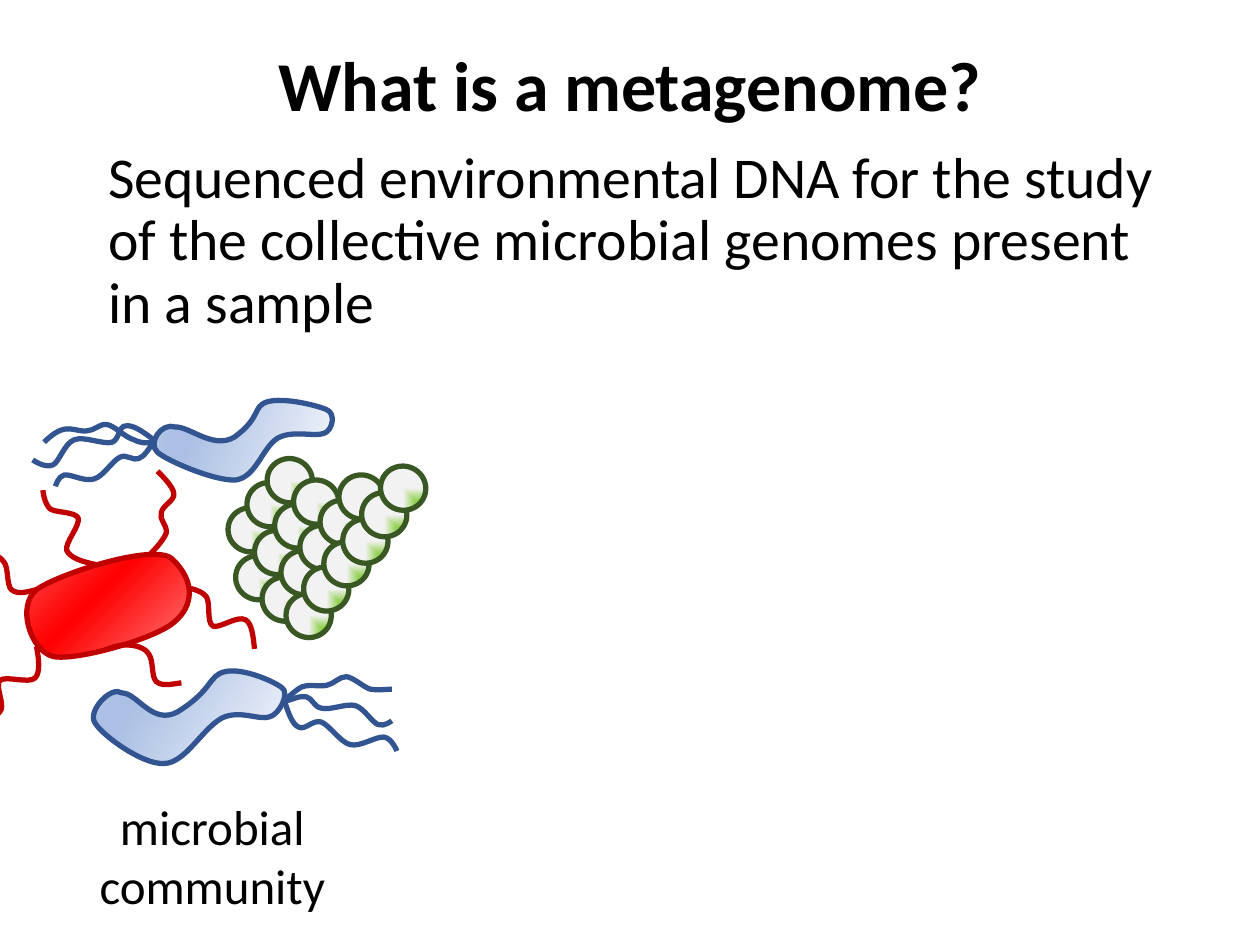
from lxml import etree
from pptx import Presentation
from pptx.dml.color import RGBColor
from pptx.enum.shapes import MSO_SHAPE
from pptx.enum.text import MSO_ANCHOR, PP_ALIGN
from pptx.oxml import parse_xml
from pptx.oxml.ns import nsdecls, qn
from pptx.util import Emu, Pt

OVAL = MSO_SHAPE.OVAL
MIDDLE, TOP = MSO_ANCHOR.MIDDLE, MSO_ANCHOR.TOP
LEFT, CENTER = PP_ALIGN.LEFT, PP_ALIGN.CENTER

EMU_PER_PX = 9144
FONT = "Calibri"
BLACK = RGBColor(0x00, 0x00, 0x00)
PALE = RGBColor(0xF6, 0xF8, 0xFC)
GREY = RGBColor(0xF2, 0xF2, 0xF2)
GREEN = RGBColor(0x92, 0xD0, 0x50)
DARK_GREEN = RGBColor(0x38, 0x57, 0x23)
BLUE = RGBColor(0xAB, 0xC0, 0xE4)
LIGHT_BLUE = RGBColor(0xC7, 0xD5, 0xED)
DARK_BLUE = RGBColor(0x32, 0x54, 0x91)
RED = RGBColor(0xFF, 0x00, 0x00)
LIGHT_RED = RGBColor(0xFF, 0x58, 0x58)
PINK = RGBColor(0xFF, 0x80, 0x80)
DARK_RED = RGBColor(0xC0, 0x00, 0x00)

CORNER = ('<a:path path="rect"><a:fillToRect l="100000" t="100000"/></a:path>'
          '<a:tileRect r="-100000" b="-100000"/>')
COCCUS_STOPS = [(0, PALE), (56, GREEN), (100, GREY)]
BLUE_STOPS = [(0, PALE), (74, BLUE), (83, BLUE), (100, LIGHT_BLUE)]
RED_STOPS = [(0, LIGHT_RED), (45, RED), (100, PINK)]

COCCI = [
    (187, 441), (181, 403), (202, 421), (196, 383), (218, 400), (208, 458),
    (223, 437), (238, 417), (212, 364), (233, 381), (254, 397), (269, 377),
    (227, 471), (241, 450), (257, 430), (272, 412), (287, 391), (302, 370),
]

LOWER_TAILS = [
    [(226, 557), (229, 566), (232, 575), (237, 577), (242, 580), (248, 571), (255, 573),
     (262, 576), (270, 589), (278, 591), (286, 593), (299, 584), (305, 585),
     (311, 586), (315, 596), (315, 596)],
    [(225, 557), (232, 555), (238, 552), (243, 553), (248, 554), (249, 561), (255, 562),
     (262, 564), (275, 558), (282, 560), (289, 562), (295, 573), (300, 575),
     (305, 577), (311, 572), (311, 572)],
    [(311, 547), (306, 547), (300, 548), (294, 547), (288, 545), (281, 538), (275, 537),
     (269, 537), (265, 543), (259, 544), (253, 545), (246, 543), (240, 545),
     (235, 547), (226, 556), (226, 556)],
]
LOWER_BODY = [
    (130, 606), (113, 607), (80, 583), (75, 573), (70, 564), (88, 544), (97, 550),
    (109, 550), (121, 576), (141, 565), (170, 547), (165, 536), (179, 533),
    (193, 530), (218, 541), (224, 546), (230, 550), (222, 567), (214, 569),
    (206, 572), (190, 563), (176, 570), (160, 579), (147, 606), (130, 606),
]
RED_BODY = [
    (42, 521), (24, 516), (13, 481), (29, 468), (45, 456), (124, 430), (137, 444),
    (155, 461), (154, 481), (138, 494), (123, 507), (60, 525), (42, 521),
]
RED_TAILS = [
    [(29, 468), (21, 470), (14, 472), (9, 468), (5, 464), (7, 450), (3, 446),
     (0, 441), (-8, 439), (-14, 438), (-20, 438), (-32, 443), (-32, 443)],
    [(76, 448), (66, 446), (56, 443), (53, 437), (51, 431), (64, 417), (62, 411),
     (59, 406), (45, 407), (40, 404), (35, 400), (34, 389), (34, 389)],
    [(119, 440), (125, 434), (130, 428), (132, 423), (133, 417), (126, 412), (128, 407),
     (129, 401), (139, 397), (138, 392), (138, 386), (125, 374), (125, 374)],
    [(29, 513), (31, 523), (32, 534), (28, 538), (23, 543), (5, 536), (0, 540),
     (-4, 544), (3, 557), (1, 563), (-1, 568), (-11, 574), (-11, 574)],
    [(144, 542), (136, 543), (129, 545), (124, 541), (120, 537), (122, 524), (118, 519),
     (115, 514), (107, 512), (101, 512), (95, 511), (83, 516), (83, 516)],
    [(202, 515), (201, 505), (200, 495), (195, 492), (189, 488), (174, 499), (169, 497),
     (164, 494), (167, 479), (164, 474), (161, 469), (151, 467), (151, 467)],
]
UPPER_BODY = [
    (187, 381), (171, 382), (133, 366), (125, 359), (117, 352), (128, 335), (139, 339),
    (150, 338), (169, 357), (186, 347), (208, 331), (200, 323), (212, 319),
    (225, 315), (252, 322), (259, 325), (267, 328), (264, 342), (257, 344),
    (250, 347), (232, 341), (220, 348), (208, 356), (203, 379), (187, 381),
]
UPPER_TAILS = [
    [(122, 349), (114, 343), (106, 337), (100, 338), (94, 338), (95, 349), (89, 351),
     (82, 353), (67, 346), (59, 349), (51, 352), (47, 367), (42, 369),
     (36, 372), (26, 365), (26, 365)],
    [(122, 351), (118, 356), (115, 362), (110, 364), (106, 366), (100, 360), (95, 363),
     (89, 366), (82, 378), (75, 380), (68, 383), (56, 376), (51, 377),
     (46, 378), (44, 386), (44, 386)],
    [(123, 351), (118, 352), (112, 352), (106, 349), (99, 347), (91, 338), (85, 337),
     (79, 336), (75, 342), (69, 342), (64, 343), (56, 339), (50, 341),
     (44, 342), (35, 351), (35, 351)],
]


def px(length):
    """Turn px into EMU."""
    return Emu(length * EMU_PER_PX)


def set_gradient(shape, stops, shading):
    """Fill a shape with colour stops and the given shading."""
    shape.fill.background()
    stop_xml = "".join(
        f'<a:gs pos="{position * 1000}"><a:srgbClr val="{color}"/></a:gs>'
        for position, color in stops)
    gradient = parse_xml(f'<a:gradFill {nsdecls("a")} rotWithShape="1">'
                         f'<a:gsLst>{stop_xml}</a:gsLst>{shading}</a:gradFill>')
    properties = shape._element.spPr
    properties.replace(properties.find(qn("a:noFill")), gradient)


def linear(angle):
    """Return linear shading at an angle in degrees."""
    return f'<a:lin ang="{angle * 60000}" scaled="0"/>'


def set_outline(shape, color):
    """Give a shape a thick outline and no shadow."""
    shape.line.color.rgb = color
    shape.line.width = Pt(3)
    shape.shadow.inherit = False


def add_curve(shapes, points, color, closed=False):
    """Draw a chain of cubic curves through a start and point triples."""
    builder = shapes.build_freeform(*points[0], scale=EMU_PER_PX)
    builder.add_line_segments(points[1:], close=closed)
    shape = builder.convert_to_shape()
    segments = list(shape._element.iter(qn("a:lnTo")))
    for first in range(0, len(segments), 3):
        curve = etree.Element(qn("a:cubicBezTo"))
        segments[first].addprevious(curve)
        for segment in segments[first:first + 3]:
            curve.append(segment[0])
            segment.getparent().remove(segment)
    shape.fill.background()
    set_outline(shape, color)
    return shape


def add_tails(shapes, tails, color):
    """Draw the flagella of one bacterium."""
    for tail in tails:
        add_curve(shapes, tail, color)


def add_body(shapes, outline, color, stops, angle):
    """Draw the shaded cell body of one bacterium."""
    set_gradient(add_curve(shapes, outline, color, closed=True), stops, linear(angle))


def add_cocci(shapes):
    """Draw the cluster of round cells."""
    for left, top in COCCI:
        cell = shapes.add_shape(OVAL, px(left), px(top), px(36), px(35))
        cell.rotation = 16.5
        set_gradient(cell, COCCUS_STOPS, CORNER)
        set_outline(cell, DARK_GREEN)


def add_text(slide, text, box, size, align=LEFT, anchor=TOP, bold=False, spacing=1.0):
    """Add a wrapped text box with one paragraph."""
    frame = slide.shapes.add_textbox(*map(px, box)).text_frame
    frame.word_wrap = True
    frame.vertical_anchor = anchor
    paragraph = frame.paragraphs[0]
    paragraph.text = text
    paragraph.alignment = align
    paragraph.line_spacing = spacing
    paragraph.font.name = FONT
    paragraph.font.size = Pt(size)
    paragraph.font.bold = bold
    paragraph.font.color.rgb = BLACK


def main():
    """Build the metagenome slide."""
    presentation = Presentation()
    presentation.slide_width, presentation.slide_height = px(1000), px(750)
    slide = presentation.slides.add_slide(presentation.slide_layouts[6])
    cocci, lower, red, upper = (slide.shapes.add_group_shape().shapes for _ in range(4))
    add_cocci(cocci)
    add_tails(lower, LOWER_TAILS, DARK_BLUE)
    add_body(lower, LOWER_BODY, DARK_BLUE, BLUE_STOPS, 212)
    add_body(red, RED_BODY, DARK_RED, RED_STOPS, 45)
    add_tails(red, RED_TAILS, DARK_RED)
    add_body(upper, UPPER_BODY, DARK_BLUE, BLUE_STOPS, 200)
    add_tails(upper, UPPER_TAILS, DARK_BLUE)
    add_text(slide, "What is a metagenome?", (0, -2, 1000, 145), 40,
             CENTER, MIDDLE, bold=True, spacing=0.9)
    add_text(slide, "Sequenced environmental DNA for the study of the collective "
             "microbial genomes present in a sample", (76, 113, 862, 476), 33, spacing=0.9)
    add_text(slide, "microbial community", (46, 627, 245, 104), 28, CENTER)
    presentation.save("out.pptx")


if __name__ == "__main__":
    main()
